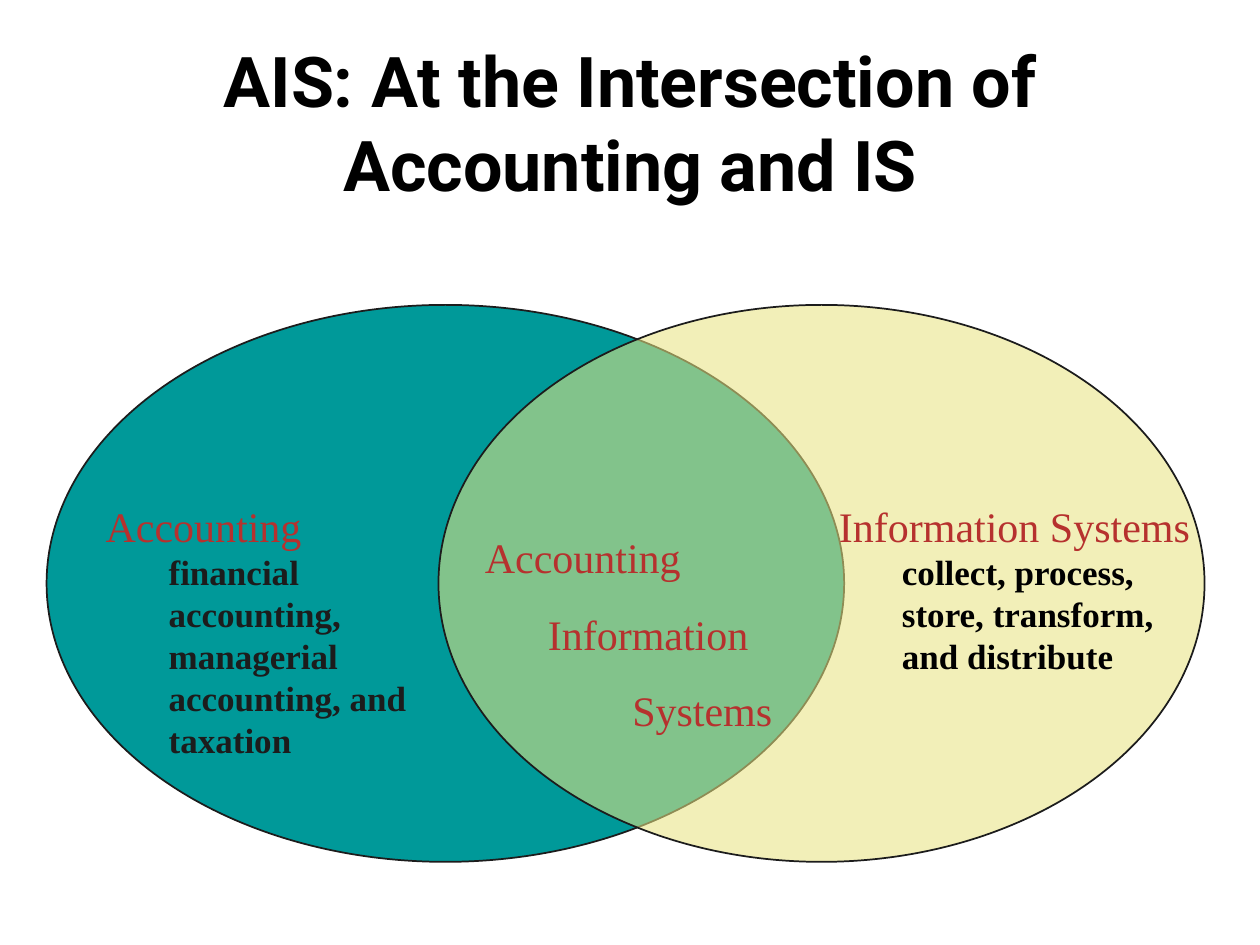
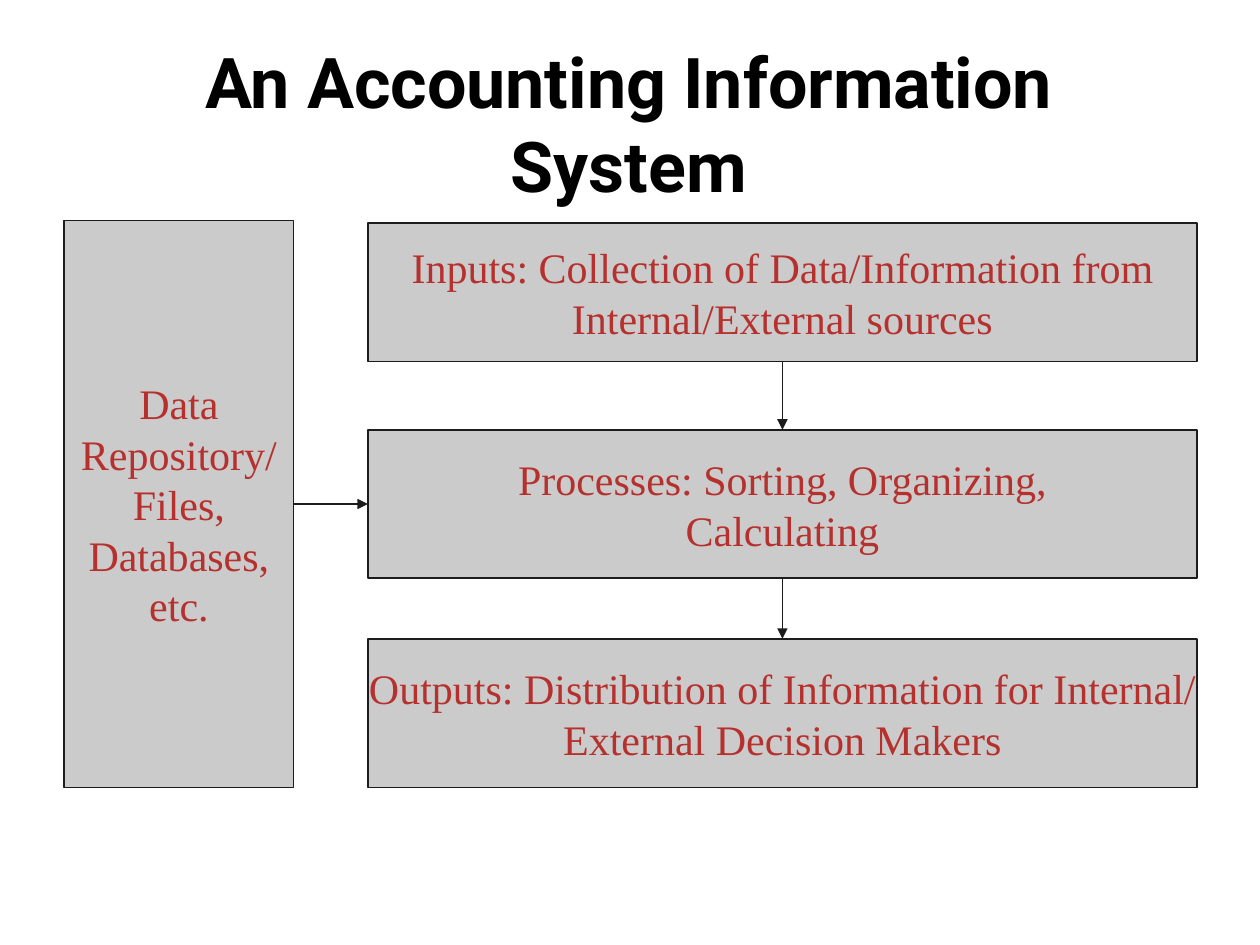
from lxml.etree import SubElement
from pptx import Presentation
from pptx.dml.color import RGBColor
from pptx.enum.shapes import MSO_CONNECTOR, MSO_SHAPE
from pptx.enum.text import MSO_ANCHOR, PP_ALIGN
from pptx.oxml.ns import qn
from pptx.util import Inches, Pt

TITLE = {"name": "Roboto", "size": 40, "bold": True, "color": "000000"}
HEADING = {"name": "Times New Roman", "size": 24, "bold": False, "color": "B6312E"}
DETAIL = {"name": "Times New Roman", "size": 20, "bold": True, "color": "1C1C1C"}
DARK_DETAIL = {**DETAIL, "color": "000000"}
INK, TEAL, YELLOW, GREY = "1C1C1C", "009999", "E9E481", "CBCBCB"
TOP, LEFT, BOTTOM, RIGHT = range(4)


def rgb(value):
    """Turn a hex string into a colour."""
    return RGBColor.from_string(value)


class Deck:
    """Holds the presentation, its style and the current slide."""

    def __init__(self):
        """Start an empty 10 by 7.5 inch deck."""
        self.show = Presentation()
        self.show.slide_width, self.show.slide_height = Inches(10), Inches(7.5)
        self.slide = None

    def add_slide(self, title, left, top):
        """Open a blank slide with its heading."""
        self.slide = self.show.slides.add_slide(self.show.slide_layouts[6])
        self.text((left, top, 8.5, 1.43), [(title, TITLE, 0, 0)],
                  PP_ALIGN.CENTER, MSO_ANCHOR.MIDDLE)

    def set_paragraphs(self, frame, entries, align):
        """Fill a frame with (text, style, indent, space before) entries."""
        for number, (words, style, indent, before) in enumerate(entries):
            paragraph = frame.paragraphs[0] if number == 0 else frame.add_paragraph()
            layout = {"alignment": align, "space_before": Pt(before),
                      "line_spacing": Pt(style["size"] * 1.2)}
            for key, value in layout.items():
                setattr(paragraph, key, value)
            if indent:
                paragraph._p.get_or_add_pPr().set("marL", str(Inches(indent)))
            run = paragraph.add_run()
            run.text = words
            look = {"name": style["name"], "size": Pt(style["size"]), "bold": style["bold"]}
            for key, value in look.items():
                setattr(run.font, key, value)
            run.font.color.rgb = rgb(style["color"])

    def text(self, place, entries, align=PP_ALIGN.LEFT, anchor=MSO_ANCHOR.TOP):
        """Add wrapped text at a place given in inches."""
        frame = self.slide.shapes.add_textbox(*map(Inches, place)).text_frame
        frame.word_wrap = True
        frame.vertical_anchor = anchor
        self.set_paragraphs(frame, entries, align)

    def outline(self, line):
        """Give a line the shared colour and width."""
        line.color.rgb = rgb(INK)
        line.width = Pt(1)

    def shape(self, kind, place, fill, opacity=100):
        """Add a filled and outlined preset shape."""
        shape = self.slide.shapes.add_shape(kind, *map(Inches, place))
        shape.shadow.inherit = False
        shape.fill.solid()
        shape.fill.fore_color.rgb = rgb(fill)
        self.outline(shape.line)
        if opacity < 100:
            colour = shape._element.spPr.find(qn("a:solidFill"))[0]
            SubElement(colour, qn("a:alpha"), val=str(opacity * 1000))
        return shape

    def box(self, place, lines):
        """Add a grey box with centred lines."""
        box = self.shape(MSO_SHAPE.RECTANGLE, place, GREY)
        box.text_frame.word_wrap = False
        box.text_frame.vertical_anchor = MSO_ANCHOR.MIDDLE
        self.set_paragraphs(box.text_frame, [(line, HEADING, 0, 0) for line in lines],
                            PP_ALIGN.CENTER)
        return box

    def arrow(self, source, source_side, target, target_side):
        """Join two boxes with an arrow."""
        arrow = self.slide.shapes.add_connector(MSO_CONNECTOR.STRAIGHT, 0, 0, 0, 0)
        arrow.begin_connect(source, source_side)
        arrow.end_connect(target, target_side)
        self.outline(arrow.line)
        properties = arrow._element.spPr
        SubElement(properties.find(qn("a:ln")), qn("a:tailEnd"), type="triangle")
        SubElement(properties, qn("a:effectLst"))


def add_intersection(deck):
    """Build the overlap of accounting and information systems."""
    deck.add_slide("AIS: At the Intersection of Accounting and IS", 0.75, 0.25)
    deck.shape(MSO_SHAPE.OVAL, (0.37, 2.42, 6.33, 4.42), TEAL)
    deck.shape(MSO_SHAPE.OVAL, (3.48, 2.42, 6.08, 4.42), YELLOW, 56)
    deck.text((3.75, 4.17, 2.67, 1.72), [
        ("Accounting", HEADING, 0, 0),
        ("Information", HEADING, 0.5, 15),
        ("Systems", HEADING, 1.17, 15)])
    deck.text((0.74, 3.92, 3, 2.17), [
        ("Accounting", HEADING, 0, 0),
        ("financial accounting,", DETAIL, 0.5, 0),
        ("managerial accounting, and taxation", DETAIL, 0.5, 0)])
    deck.text((6.56, 3.92, 3.08, 1.5), [
        ("Information Systems", HEADING, 0, 0),
        ("collect, process, store, transform, and distribute", DARK_DETAIL, 0.5, 0)])


def add_system(deck):
    """Build the flow from inputs to outputs."""
    deck.add_slide("An Accounting Information System", 0.74, 0.26)
    stages = [
        (1.77, 1.1, ["Inputs: Collection of Data/Information from",
                     "Internal/External sources"]),
        (3.41, 1.18, ["Processes: Sorting, Organizing,", "Calculating"]),
        (5.07, 1.18, ["Outputs: Distribution of Information for Internal/",
                      "External Decision Makers"])]
    inputs, processes, outputs = [
        deck.box((2.92, top, 6.58, height), lines) for top, height, lines in stages]
    repository = deck.box((0.51, 1.75, 1.82, 4.5),
                          ["Data", "Repository/", "Files,", "Databases,", "etc."])
    deck.arrow(inputs, BOTTOM, processes, TOP)
    deck.arrow(processes, BOTTOM, outputs, TOP)
    deck.arrow(repository, RIGHT, processes, LEFT)


def main():
    """Build and save the deck."""
    deck = Deck()
    add_intersection(deck)
    add_system(deck)
    deck.show.save("out.pptx")


if __name__ == "__main__":
    main()
